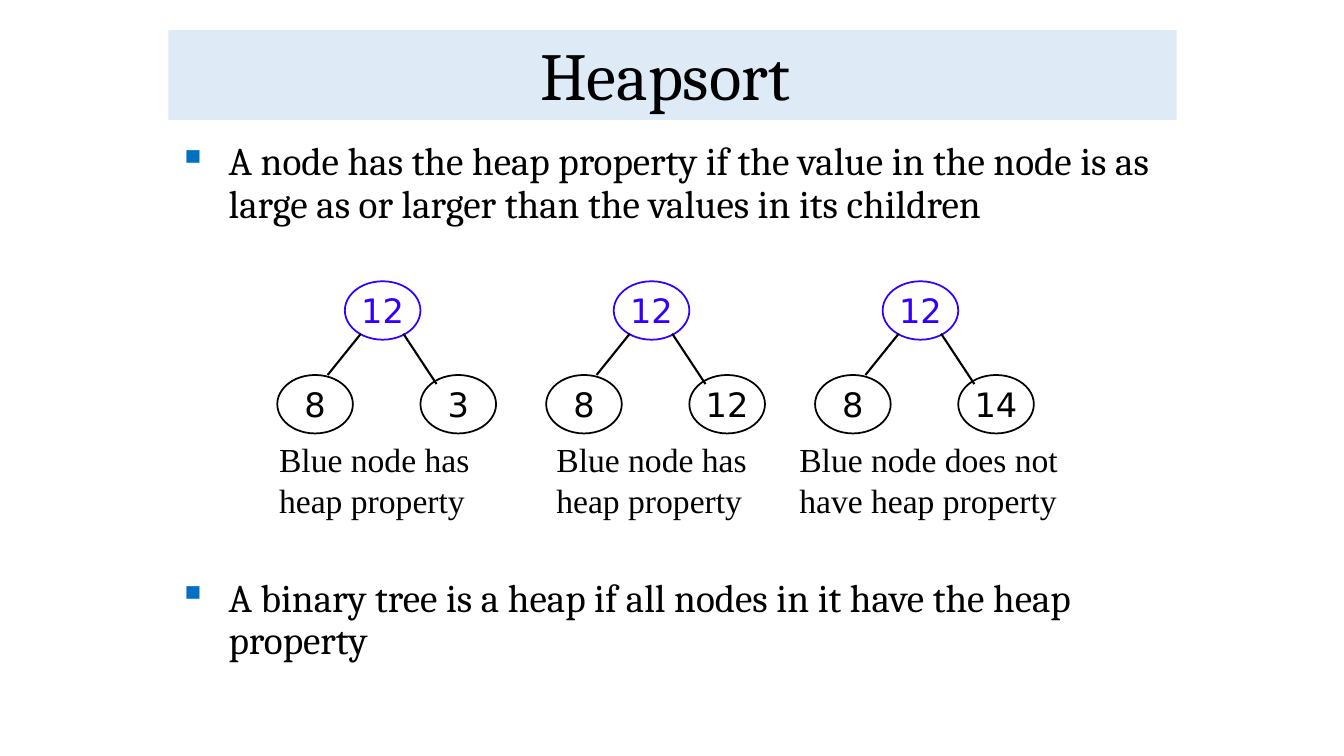
from lxml import etree
from pptx import Presentation
from pptx import util as u
from pptx.dml.color import RGBColor
from pptx.enum import shapes, text
from pptx.oxml.ns import qn


class Deck:
    hues = {"ink": "000000", "blue": "3300FF", "band": "DEEBF7", "mark": "0070C0"}
    serif, sans, label = "Cambria", "DejaVu Sans", "Times New Roman"

    def __init__(self):
        self.prs = Presentation()
        self.prs.slide_width = u.Inches(13.33)
        self.prs.slide_height = u.Inches(7.5)
        self.slide = self.prs.slides.add_slide(self.prs.slide_layouts[6])

    def hue(self, name):
        return RGBColor.from_string(self.hues[name])

    def style(self, para, face, size, hue="ink"):
        para.font.name = face
        para.font.size = u.Pt(size)
        para.font.color.rgb = self.hue(hue)

    def title(self, words, *box):
        band = self.slide.shapes.add_shape(
            shapes.MSO_SHAPE.RECTANGLE, *map(u.Inches, box))
        band.shadow.inherit = False
        band.fill.solid()
        band.fill.fore_color.rgb = self.hue("band")
        band.line.fill.background()
        frame = band.text_frame
        frame.vertical_anchor = text.MSO_ANCHOR.BOTTOM
        para = frame.paragraphs[0]
        para.text = words
        para.alignment = text.PP_ALIGN.CENTER
        para.line_spacing = 0.9
        self.style(para, self.serif, 48)

    def points(self, items, gap, *box):
        frame = self.slide.shapes.add_textbox(*map(u.Inches, box)).text_frame
        frame.word_wrap = True
        for i, words in enumerate(items):
            para = frame.add_paragraph() if i else frame.paragraphs[0]
            para.text = words
            para.line_spacing = 0.9
            para.space_before = u.Pt(gap if i else 0)
            props = para._p.get_or_add_pPr()
            props.set("marL", str(u.Inches(0.5)))
            props.set("indent", str(-u.Inches(0.5)))
            color = etree.SubElement(props, qn("a:buClr"))
            etree.SubElement(color, qn("a:srgbClr"), val=self.hues["mark"])
            etree.SubElement(props, qn("a:buChar"), char="▪")
            self.style(para, self.serif, 28)

    def node(self, group, value, x, y, hue="ink"):
        oval = group.shapes.add_shape(
            shapes.MSO_SHAPE.OVAL, *map(u.Inches, (x, y, 0.75, 0.58)))
        oval.shadow.inherit = False
        oval.fill.background()
        oval.line.color.rgb = self.hue(hue)
        oval.line.width = u.Pt(1.25)
        frame = oval.text_frame
        frame.word_wrap = False
        frame.vertical_anchor = text.MSO_ANCHOR.MIDDLE
        para = frame.paragraphs[0]
        para.text = value
        para.alignment = text.PP_ALIGN.CENTER
        self.style(para, self.sans, 24, hue)

    def edge(self, group, *ends):
        line = group.shapes.add_connector(
            shapes.MSO_CONNECTOR.STRAIGHT, *map(u.Inches, ends))
        line.line.color.rgb = self.hue("ink")
        line.line.width = u.Pt(1.5)
        etree.SubElement(line._element.spPr, qn("a:effectLst"))

    def note(self, group, words, *box):
        frame = group.shapes.add_textbox(*map(u.Inches, box)).text_frame
        frame.word_wrap = True
        para = frame.paragraphs[0]
        para.text = words
        self.style(para, self.label, 24)

    def tree(self, x, values, words, left, width):
        group = self.slide.shapes.add_group_shape()
        root, low, high = values
        self.node(group, root, x + 0.67, 2.79, "blue")
        self.node(group, low, x, 3.72)
        self.node(group, high, x + 1.42, 3.72)
        self.edge(group, x + 0.83, 3.31, x + 0.5, 3.72)
        self.edge(group, x + 1.25, 3.31, x + 1.58, 3.81)
        self.note(group, words, left, 4.31, width, 0.9)


def main():
    deck = Deck()
    deck.title("Heapsort ", 1.67, 0.3, 10, 0.89)
    deck.points([
        "A node has the heap property if the value in the node is as "
        "large as or larger than the values in its children",
        "A binary tree is a heap if all nodes in it have the heap property",
    ], 251, 1.67, 1.36, 10, 4.82)
    holds = "Blue node has heap property"
    fails = "Blue node does not have heap property"
    trees = [
        (("12", "8", "3"), holds, 2.67, 2.17),
        (("12", "8", "12"), holds, 5.42, 2.17),
        (("12", "8", "14"), fails, 7.83, 2.83),
    ]
    for i, tree in enumerate(trees):
        deck.tree(2.75 + i * 2.667, *tree)
    deck.prs.save("out.pptx")


if __name__ == "__main__":
    main()
